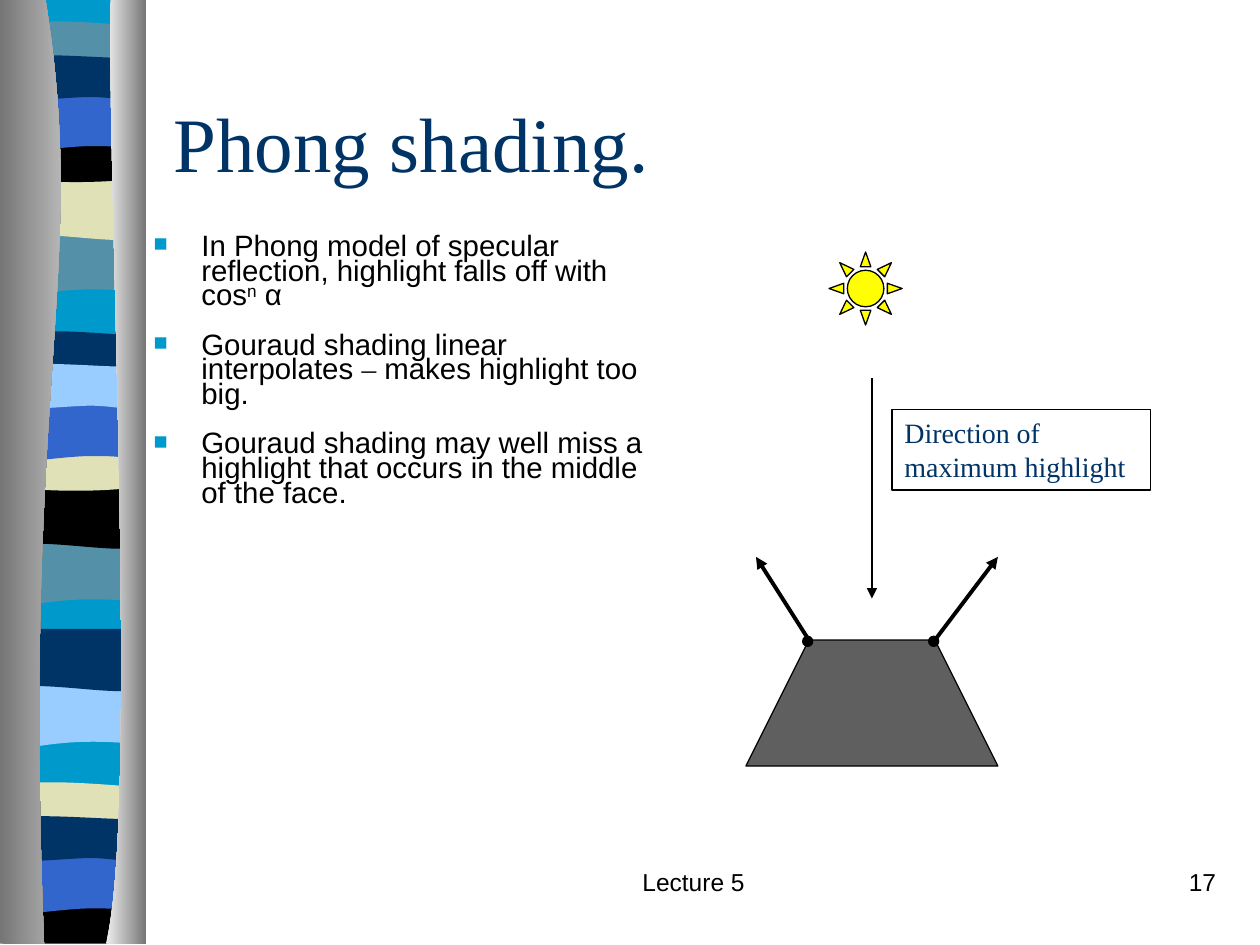
from lxml import etree
from pptx import Presentation
from pptx import util as u
from pptx.dml.color import RGBColor
from pptx.enum import shapes, text
from pptx.oxml import ns

COLORS = {
    "cyan": "0099CC", "teal": "5490A8", "sand": "E1E1B7", "black": "000000",
    "blue": "3366CC", "navy": "003366", "sky": "99CCFF", "yellow": "FFFF00",
    "gray": "5F5F5F", "edge": "767676", "left sheen": "D3D3D3", "right sheen": "EEEEEE",
}
RGB = {name: RGBColor.from_string(value) for name, value in COLORS.items()}

prs = Presentation()
prs.slide_width, prs.slide_height = u.Inches(10), u.Inches(7.5)
slide = prs.slides.add_slide(prs.slide_layouts[6])


def add_outline(start, pieces, fill=None):
    """Closed outline from points (x, y) and Bezier pieces (x1, y1, x2, y2, x3, y3)."""
    points = [(piece[i], piece[i + 1]) for piece in pieces for i in range(0, len(piece), 2)]
    builder = slide.shapes.build_freeform(u.Inches(start[0]), u.Inches(start[1]), scale=1.0)
    builder.add_line_segments([(u.Inches(x), u.Inches(y)) for x, y in points], close=True)
    outline = builder.convert_to_shape()
    # Turn each run of three control points into one curve
    segments = iter(list(outline._element.iter(ns.qn("a:lnTo"))))
    for piece in pieces:
        first = next(segments)
        if len(piece) == 6:
            first.tag = ns.qn("a:cubicBezTo")
            for _ in range(2):
                extra = next(segments)
                first.append(extra[0])
                extra.getparent().remove(extra)
    outline.shadow.inherit = False
    outline.line.fill.background()
    if fill:
        outline.fill.solid()
        outline.fill.fore_color.rgb = RGB[fill]
    return outline


def add_text(shape, content, size, font, color, align=text.PP_ALIGN.LEFT):
    frame = shape.text_frame
    frame.word_wrap = True
    frame.text = content
    paragraph = frame.paragraphs[0]
    paragraph.alignment = align
    run_font = paragraph.runs[0].font
    run_font.size, run_font.name = u.Pt(size), font
    run_font.color.rgb = RGB[color]
    return frame


# Ribbon: each wave is (height at right, bottom edge, top edge), y relative to its top
L, R = 0.06, 1.14
FLAT_TOP = [(L, 0), (R, 0)]
DIP_TOP = [(L, 0), (0.72, 0.05, 0.91, 0, R, 0)]
WAVES = {
    "swell": (0.47, [(0.39, 0.39, 0.24, 0.55, L, 0.47)], FLAT_TOP),
    "ripple": (0.47, [(0.96, 0.55, 0.39, 0.41, L, 0.47)], FLAT_TOP),
    "lens": (0.29, [(0.96, 0.33, 0.24, 0.33, L, 0.29)],
             [(L, 0.05), (0.12, 0, 0.29, 0.01, 0.47, 0.01), (0.65, 0.01, 1, 0.04, R, 0.05)]),
    "dip": (0.32, [(0.96, 0.38, 0.24, 0.38, L, 0.32)], DIP_TOP),
    "foot": (0.37, [(L, 0.37)], DIP_TOP),
    "arch": (0.47, [(0.97, 0.42, 0.9, 0.42, 0.72, 0.42), (0.54, 0.42, 0.22, 0.47, L, 0.47)],
             FLAT_TOP),
    "tide": (0.36, [(1.07, 0.41, 0.9, 0.36, 0.72, 0.36), (0.54, 0.36, 0.17, 0.41, L, 0.36)],
             [(L, 0.05), (0.21, 0, 0.79, 0.05, 0.97, 0.05), (R, 0.05)]),
}
RIBBON = [
    ("swell", 1.85, "teal"), ("ripple", 1.41, "sand"), ("lens", 0.16, "teal"),
    ("dip", 1.08, "black"), ("arch", 0.74, "blue"), ("tide", 0.41, "navy"),
    ("swell", 4.31, "teal"), ("ripple", 3.86, "black"), ("lens", 2.62, "navy"),
    ("dip", 3.53, "sand"), ("arch", 3.2, "blue"), ("tide", 2.86, "sky"),
    ("swell", 5.44, "sky"), ("ripple", 4.99, "navy"), ("lens", 6.2, "sand"),
    ("foot", 7.12, "black"), ("arch", 6.79, "blue"), ("tide", 6.45, "navy"),
]
add_outline((R, -0.01), [(R, 7.47), (L, 7.47), (L, -0.01)], "cyan")
for wave, top, color in RIBBON:
    height, bottom_edge, top_edge = WAVES[wave]
    shifted = [tuple(v + top * (i % 2) for i, v in enumerate(piece))
               for piece in bottom_edge + top_edge]
    add_outline((R, top + height), shifted, color)

# Curved gray borders on both sides of the ribbon
borders = [
    ((0.36, -0.01), [(0.71, 2.16, 0.17, 2.96, 0.35, 7.49), (0, 7.49), (0, -0.01)],
     ("edge", "left sheen")),
    ((0.88, -0.01), [(0.84, 1.25, 1.11, 6.46, 0.84, 7.49), (1.16, 7.49), (1.16, -0.01)],
     ("right sheen", "edge")),
]
for start, pieces, sheen in borders:
    border = add_outline(start, pieces)
    border.fill.gradient()
    border.fill.gradient_angle = 0
    for stop, color in zip(border.fill.gradient_stops, sheen):
        stop.color.rgb = RGB[color]

# Footer, page number and title
footer = slide.shapes.add_textbox(u.Inches(3.92), u.Inches(6.83), u.Inches(3.17), u.Inches(0.5))
add_text(footer, "Lecture 5", 14, "Arial", "black", text.PP_ALIGN.CENTER)
page = slide.shapes.add_textbox(u.Inches(7.67), u.Inches(6.83), u.Inches(2.08), u.Inches(0.5))
add_text(page, "17", 14, "Arial", "black", text.PP_ALIGN.RIGHT)
title = slide.shapes.add_textbox(u.Inches(1.28), u.Inches(0.5), u.Inches(8.5), u.Inches(1.25))
title_frame = add_text(title, "Phong shading.", 44, "Times New Roman", "navy")
title_frame.vertical_anchor = text.MSO_ANCHOR.MIDDLE

# Bulleted points
POINTS = [
    ["In Phong model of specular reflection, highlight falls off with cos", "n", " α"],
    ["Gouraud shading linear interpolates ", "–", " makes highlight too big."],
    ["Gouraud shading may well miss a highlight that occurs in the middle of the face."],
]
body = slide.shapes.add_textbox(u.Inches(1.12), u.Inches(1.83), u.Inches(4.21), u.Inches(2.59))
body_frame = body.text_frame
body_frame.word_wrap = True
for i, pieces in enumerate(POINTS):
    point = body_frame.paragraphs[0] if i == 0 else body_frame.add_paragraph()
    point.line_spacing = 0.7
    if i:
        point.space_before = u.Pt(14)
    props = point._p.get_or_add_pPr()
    props.set("marL", str(u.Inches(0.38)))
    props.set("indent", str(-u.Inches(0.38)))
    bullet_color = etree.SubElement(props, ns.qn("a:buClr"))
    etree.SubElement(bullet_color, ns.qn("a:srgbClr"), val=COLORS["cyan"])
    etree.SubElement(props, ns.qn("a:buSzPct"), val="80000")
    etree.SubElement(props, ns.qn("a:buFont"), typeface="Arial")
    etree.SubElement(props, ns.qn("a:buChar"), char="■")
    for piece in pieces:
        run = point.add_run()
        run.text = piece
        run.font.size = u.Pt(16.8)
        run.font.name = "Times New Roman" if piece == "–" else "Arial"
        run.font.color.rgb = RGB["black"]
        if piece == "n":
            run.font._element.set("baseline", "30000")

# Lit face
face = add_outline((5.92, 6.08), [(6.42, 5.08), (7.42, 5.08), (7.92, 6.08)], "gray")
face.line.color.rgb = RGB["black"]
face.line.width = u.Pt(0.75)

# Vertex normals and light direction
ARROWS = [((6.42, 5.08), (6, 4.42), 2.25), ((7.42, 5.08), (7.92, 4.42), 2.25),
          ((6.92, 3), (6.92, 4.75), 0.75)]
for start, end, width in ARROWS:
    arrow = slide.shapes.add_connector(
        shapes.MSO_CONNECTOR.STRAIGHT, *(u.Inches(v) for v in start + end))
    arrow.line.color.rgb = RGB["black"]
    arrow.line.width = u.Pt(width)
    etree.SubElement(arrow.line._get_or_add_ln(), ns.qn("a:tailEnd"), type="triangle")
    etree.SubElement(arrow._element.spPr, ns.qn("a:effectLst"))

# Sun, vertices and label box
KIND = shapes.MSO_SHAPE
FIGURES = [
    (KIND.SUN, 6.58, 2, 0.58, 0.58, "yellow"),
    (KIND.OVAL, 7.37, 5.05, 0.08, 0.08, "black"),
    (KIND.OVAL, 6.37, 5.05, 0.08, 0.08, "black"),
    (KIND.RECTANGLE, 7.08, 3.25, 2.05, 0.64, None),
]
for kind, left, top, width, height, color in FIGURES:
    figure = slide.shapes.add_shape(
        kind, *(u.Inches(v) for v in (left, top, width, height)))
    figure.shadow.inherit = False
    figure.line.color.rgb = RGB["black"]
    figure.line.width = u.Pt(0.75)
    if color:
        figure.fill.solid()
        figure.fill.fore_color.rgb = RGB[color]
    else:
        figure.fill.background()
        label_frame = add_text(figure, "Direction of maximum highlight", 16,
                               "Times New Roman", "navy")
        label_frame.vertical_anchor = text.MSO_ANCHOR.TOP

prs.save("out.pptx")
